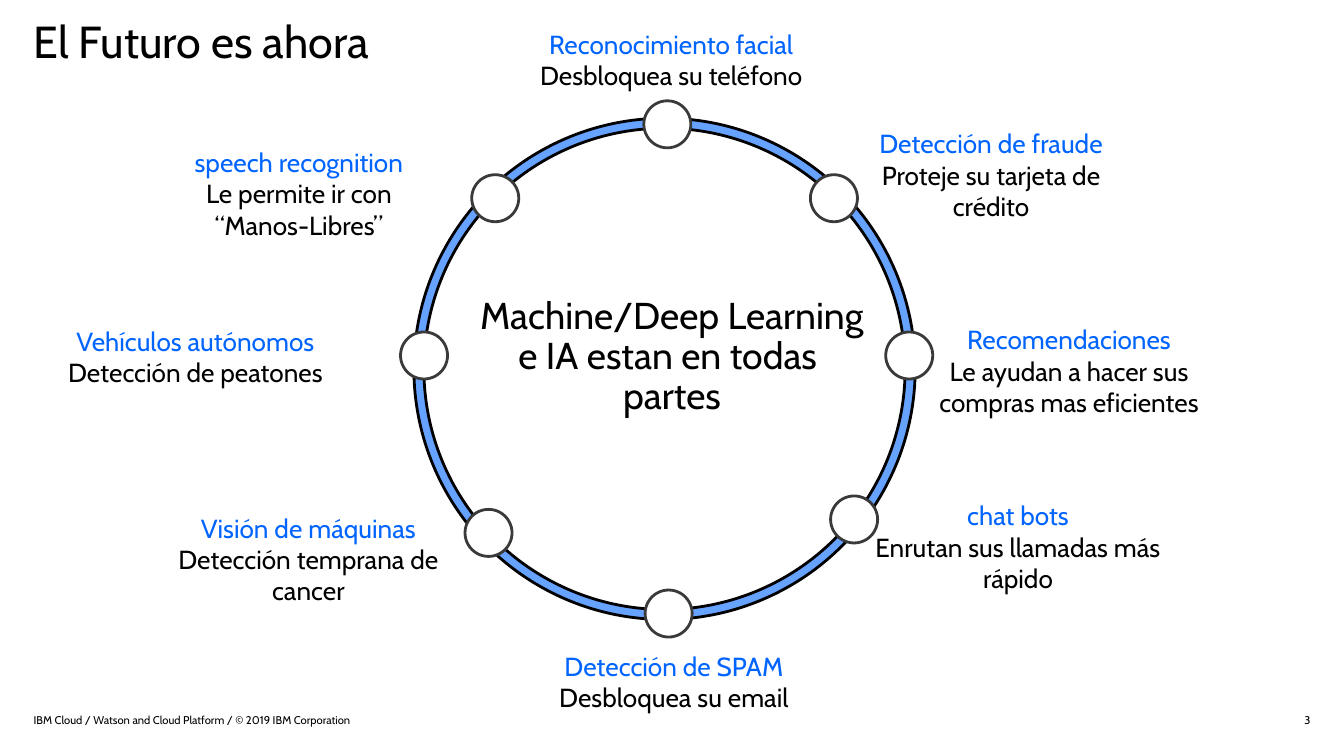
from pptx import Presentation
from pptx.dml.color import RGBColor
from pptx.enum import shapes, text
from pptx.util import Inches, Pt

FONT = "Cabin"
BLACK = RGBColor(0x00, 0x00, 0x00)
WHITE = RGBColor(0xFF, 0xFF, 0xFF)
BLUE = RGBColor(0x00, 0x64, 0xFF)
RING_BLUE = RGBColor(0x66, 0xA2, 0xFF)
NODE_GRAY = RGBColor(0x3A, 0x3A, 0x3A)

LEFT, CENTER, RIGHT = text.PP_ALIGN.LEFT, text.PP_ALIGN.CENTER, text.PP_ALIGN.RIGHT
TOP, MIDDLE = text.MSO_ANCHOR.TOP, text.MSO_ANCHOR.MIDDLE

NODE_SIZE = 0.35
LABEL_WIDTH = 2.33

# Left and top of each node, clockwise from the top
NODES = [
    (4.79, 0.75), (6.03, 1.3), (6.59, 2.47), (6.18, 3.69),
    (4.8, 4.39), (3.46, 3.79), (2.98, 2.47), (3.51, 1.3),
]

# Left, top, height, heading and benefit of each use, clockwise from the top
USES = [
    (3.83, 0.16, 0.57, "Reconocimiento facial", "Desbloquea su teléfono"),
    (6.21, 0.9, 0.81, "Detección de fraude", "Proteje su tarjeta de crédito"),
    (6.79, 2.36, 0.81, "Recomendaciones",
     "Le ayudan a hacer sus compras mas eficientes"),
    (6.41, 3.67, 0.81, "chat bots", "Enrutan sus llamadas más rápido"),
    (3.85, 4.79, 0.57, "Detección de SPAM", "Desbloquea su email"),
    (1.13, 3.76, 0.81, "Visión de máquinas", "Detección temprana de cancer"),
    (0.29, 2.37, 0.57, "Vehículos autónomos", "Detección de peatones"),
    (1.06, 1.04, 0.81, "speech recognition", "Le permite ir con\v“Manos-Libres”"),
]


def add_frame(page, left, top, width, height):
    box = page.shapes.add_textbox(
        Inches(left), Inches(top), Inches(width), Inches(height))
    box.text_frame.word_wrap = True
    return box.text_frame


def style_paragraph(para, size, color, align):
    para.alignment = align
    for span in para.runs:
        span.font.name = FONT
        span.font.size = Pt(size)
        span.font.color.rgb = color


def add_line(page, area, wording, size, align=LEFT, anchor=TOP, spacing=None):
    """Add a one-paragraph text box without margins."""
    frame = add_frame(page, *area)
    frame.margin_left = frame.margin_right = 0
    frame.margin_top = frame.margin_bottom = 0
    frame.vertical_anchor = anchor
    para = frame.paragraphs[0]
    para.text = wording
    para.line_spacing = spacing
    style_paragraph(para, size, BLACK, align)


def add_use(page, left, top, height, heading, benefit):
    frame = add_frame(page, left, top, LABEL_WIDTH, height)
    frame.text = f"{heading}\n{benefit}"
    for para, color in zip(frame.paragraphs, (BLUE, BLACK)):
        style_paragraph(para, 14, color, CENTER)


def add_round(page, kind, left, top, size, fill, line):
    shape = page.shapes.add_shape(
        kind, Inches(left), Inches(top), Inches(size), Inches(size))
    shape.shadow.inherit = False
    shape.fill.solid()
    shape.fill.fore_color.rgb = fill
    shape.line.color.rgb = line
    shape.line.width = Pt(1.5)
    return shape


def main():
    deck = Presentation()
    deck.slide_width = Inches(10)
    deck.slide_height = Inches(10) * 9 // 16
    page = deck.slides.add_slide(deck.slide_layouts[6])

    add_line(page, (0.25, 0.15, 8.57, 0.39), "El Futuro es ahora", 24, spacing=0.9)

    ring = add_round(page, shapes.MSO_SHAPE.DONUT, 3.08, 0.88, 3.73, RING_BLUE, BLACK)
    ring.adjustments[0] = 0.02
    for left, top in NODES:
        add_round(page, shapes.MSO_SHAPE.OVAL, left, top, NODE_SIZE, WHITE, NODE_GRAY)

    add_line(page, (2.96, 2.21, 4.08, 1.05),
             "Machine/Deep Learning\ve IA estan en todas \vpartes",
             20, CENTER, spacing=0.9)
    for use in USES:
        add_use(page, *use)

    add_line(page, (0.25, 5.28, 7, 0.15),
             "IBM Cloud / Watson and Cloud Platform / © 2019 IBM Corporation",
             6, anchor=MIDDLE)
    add_line(page, (7.5, 5.28, 2.25, 0.15), "3", 6, RIGHT, MIDDLE)

    deck.save("out.pptx")


if __name__ == "__main__":
    main()
